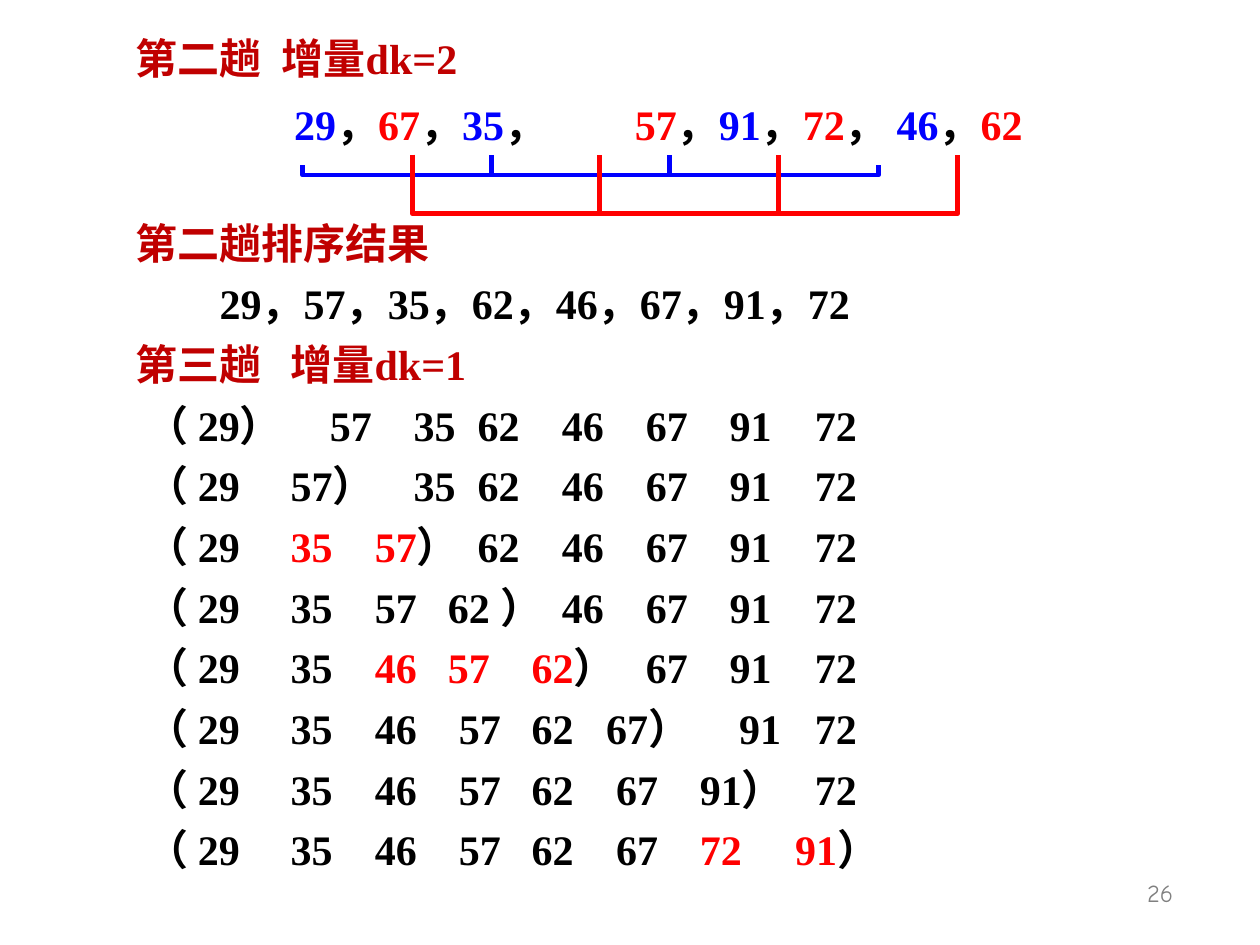
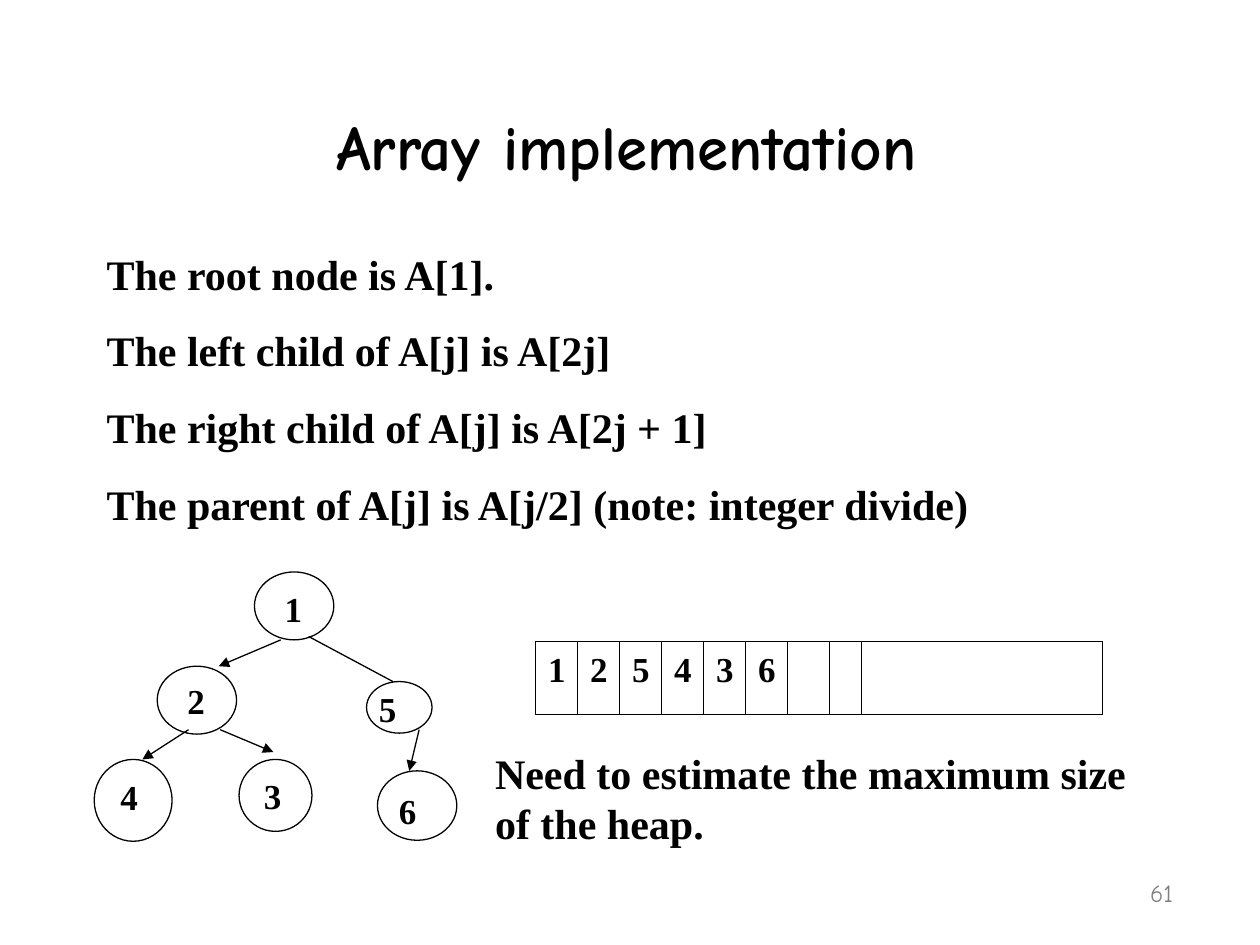
import itertools

import lxml.etree
import pptx
import pptx.dml.color
import pptx.enum.shapes
import pptx.enum.text
import pptx.oxml.ns
import pptx.util

Cm, Pt = pptx.util.Cm, pptx.util.Pt
qn = pptx.oxml.ns.qn
SHAPES = pptx.enum.shapes.MSO_SHAPE
ALIGN = pptx.enum.text.PP_ALIGN
ANCHOR = pptx.enum.text.MSO_ANCHOR

COLORS = {"black": "000000", "blue": "0000FF", "red": "FF0000",
          "heading": "C00000", "grey": "808080"}
BODY = {"name": "Times New Roman", "size": Pt(24), "bold": True}
LABEL = {**BODY, "size": Pt(20)}
TITLE = {"name": "Comic Neue", "size": Pt(36), "bold": True}
NUMBER = {"name": "Comic Neue", "size": Pt(14)}

SORTED = [3.12, 4.82, 6.51, 7.98, 9.68, 11.37, 13.29]
UNSORTED = [3.91, 5.6, 6.89, 8.59, 10.28, 11.97, 13.69]
SHIFTED = {4: {2: 6.29}, 5: {2: 6.29}, 6: {4: 9.48, 5: 12.16}}
INSERTIONS = [
    "\t（ 29）\t57\t35\t62\t46\t67\t91\t72",
    "\t（ 29\t57）\t35\t62\t46\t67\t91\t72",
    "\t（ 29\t|35\t57|）\t62\t46\t67\t91\t72",
    "\t（ 29\t35\t57\t62 ）\t46\t67\t91\t72",
    "\t（ 29\t35\t|46\t57\t62|）\t67\t91\t72",
    "\t（ 29\t35\t46\t57\t62\t67）\t91\t72",
    "\t（ 29\t35\t46\t57\t62\t67\t91）\t72",
    "\t（ 29\t35\t46\t57\t62\t67\t|72\t91|）",
]


def rgb(color):
    return pptx.dml.color.RGBColor.from_string(COLORS[color])


def apply(obj, values):
    for name, value in values.items():
        setattr(obj, name, value)


def set_tabs(p, stops):
    tabs = lxml.etree.SubElement(p._p.get_or_add_pPr(), qn("a:tabLst"))
    for stop in stops:
        lxml.etree.SubElement(tabs, qn("a:tab"), pos=str(Cm(stop)), algn="l")


def write(p, text, font, colors=("black",), stops=(), **layout):
    apply(p, layout)
    if stops:
        set_tabs(p, stops)
    for part, color in zip(text.split("|"), itertools.cycle(colors)):
        if part:
            r = p.add_run()
            r.text = part
            apply(r.font, font)
            r.font.color.rgb = rgb(color)


def add_text(s, box, lines, frame=None):
    tf = s.shapes.add_textbox(*map(Cm, box)).text_frame
    apply(tf, {"word_wrap": True, **(frame or {})})
    for i, line in enumerate(lines):
        p = tf.add_paragraph() if i else tf.paragraphs[0]
        write(p, **line)


def outline(sp, color="black", width=0.75):
    sp.line.color.rgb = rgb(color)
    sp.line.width = Pt(width)


def add_outlined(s, kind, box):
    sp = s.shapes.add_shape(kind, *map(Cm, box))
    sp.shadow.inherit = False
    sp.fill.background()
    outline(sp)


def add_line(s, start, end, color="black", width=0.75, arrow=False):
    sp = s.shapes.add_connector(pptx.enum.shapes.MSO_CONNECTOR.STRAIGHT,
                                *map(Cm, (*start, *end)))
    outline(sp, color, width)
    if arrow:
        lxml.etree.SubElement(sp.line._get_or_add_ln(), qn("a:tailEnd"), type="triangle")
    lxml.etree.SubElement(sp._element.spPr, qn("a:effectLst"))


def add_number(s, number):
    add_text(s, (18.62, 17.15, 5.28, 1.27),
             [dict(text=number, font=NUMBER, colors=["grey"], alignment=ALIGN.RIGHT)],
             {"vertical_anchor": ANCHOR.BOTTOM})


def add_passes(s, box):
    close = {"line_spacing": 1.1, "space_before": Pt(3)}
    lines = [
        dict(text="第二趟\t增量dk=2", colors=["heading"], stops=[2.94]),
        dict(text="\t|29|，|67|，|35|，\t|57|，|91|，|72|， |46|，|62",
             colors=["black", "blue", "black", "red"], stops=[3.19, 10.06],
             space_before=Pt(9)),
        dict(text="第二趟排序结果", colors=["heading"], space_before=Pt(39)),
        dict(text="\t29，57，35，62，46，67，91，72", stops=[1.69], **close),
        dict(text="第三趟\t增量dk=1", colors=["heading"], stops=[3.12], **close),
    ]
    for count, text in enumerate(INSERTIONS, 1):
        columns = SORTED[:count - 1] + UNSORTED[count - 1:]
        for column, stop in SHIFTED.get(count, {}).items():
            columns[column] = stop
        lines.append(dict(text=text, colors=["black", "red"], stops=[0.21, *columns], **close))
    add_text(s, box, [{"font": BODY, **line} for line in lines])


def add_bracket(s, box, color, ticks, tick_height):
    x, y, w, h = box
    bottom = y + h
    corners = [(x, bottom), (x + w, bottom), (x + w, y)]
    fb = s.shapes.build_freeform(Cm(x), Cm(y))
    fb.add_line_segments([(Cm(a), Cm(b)) for a, b in corners], close=False)
    sp = fb.convert_to_shape()
    sp.shadow.inherit = False
    sp.fill.background()
    outline(sp, color, 2.75)
    for tick in ticks:
        add_line(s, (x + tick, bottom), (x + tick, bottom - tick_height), color, 2.75)


def add_title(s, text, box):
    sp = s.shapes.title
    apply(sp, dict(zip(("left", "top", "width", "height"), map(Cm, box))))
    apply(sp.text_frame, {"vertical_anchor": ANCHOR.BOTTOM, "word_wrap": True,
                          "auto_size": pptx.enum.text.MSO_AUTO_SIZE.NONE})
    write(sp.text_frame.paragraphs[0], text, TITLE, alignment=ALIGN.CENTER)


def add_rules(s, box):
    rules = ["The root node is A[1].", "The left child of A[j] is A[2j]",
             "The right child of A[j] is A[2j + 1]",
             "The parent of A[j] is A[j/2] (note: integer divide)"]
    add_text(s, box, [dict(text=rule, font=BODY, space_before=Pt(15 if i else 0))
                      for i, rule in enumerate(rules)])


def add_label(s, x, y, text):
    add_text(s, (x, y, 1.48, 1.12), [dict(text=text, font=LABEL)])


def add_tree(s, x, y):
    nodes = {
        "1": ((3.23, 0, 1.6, 1.37), (0.36, 0.18)),
        "2": ((1.27, 1.9, 1.6, 1.37), (0.36, 0.15)),
        "5": ((5.49, 2.21, 1.32, 1.04), (0, 0)),
        "6": ((5.71, 4.01, 1.6, 1.4), (0.18, 0.25)),
        "4": ((0, 3.78, 1.57, 1.65), (0.28, 0.2)),
        "3": ((2.92, 3.78, 1.47, 1.45), (0.25, 0.18)),
    }
    edges = [
        (3.76, 1.37, 2.51, 1.9, True), (4.32, 1.3, 6.02, 2.21, False),
        (1.9, 3.18, 0.97, 3.78, True), (2.54, 3.18, 3.61, 3.63, True),
        (6.55, 3.18, 6.35, 4.01, True),
    ]
    for text, ((dx, dy, w, h), (tx, ty)) in nodes.items():
        add_outlined(s, SHAPES.OVAL, (x + dx, y + dy, w, h))
        add_label(s, x + dx + tx, y + dy + ty, text)
    for x1, y1, x2, y2, arrow in edges:
        add_line(s, (x + x1, y + y1), (x + x2, y + y2), arrow=arrow)


def add_array(s, box, values):
    x, y, w, h = box
    cell = w / 13.5
    add_outlined(s, SHAPES.RECTANGLE, box)
    for edge in (1, 2, 3, 4, 5, 6, 7, 7.75):
        add_line(s, (x + edge * cell, y), (x + edge * cell, y + h))
    for i, value in enumerate(values):
        add_label(s, x + i * cell, y, value)


def build_shell_sort(prs):
    s = prs.slides.add_slide(prs.slide_layouts[6])
    add_number(s, "26")
    add_passes(s, (2.49, 0.53, 22.91, 17.25))
    add_bracket(s, (6.1, 3.33, 11.61, 0.2), "blue", (3.81, 7.39), 0.41)
    add_bracket(s, (8.31, 3.12, 11, 1.19), "red", (3.78, 7.39), 1.19)


def build_heap_array(prs):
    s = prs.slides.add_slide(prs.slide_layouts[5])
    add_number(s, "61")
    add_title(s, "Array implementation", (1.12, 0.64, 23.01, 3.18))
    add_rules(s, (1.9, 4.88, 20.32, 5.92))
    add_tree(s, 1.9, 11.53)
    add_array(s, (10.8, 12.93, 11.43, 1.47), "125436")
    add_text(s, (9.73, 14.94, 13.56, 2.29),
             [dict(text="Need to estimate the maximum size of the heap.", font=BODY)])


def main():
    prs = pptx.Presentation()
    apply(prs, {"slide_width": Cm(25.4), "slide_height": Cm(19.05)})
    build_shell_sort(prs)
    build_heap_array(prs)
    prs.save("out.pptx")


if __name__ == "__main__":
    main()
